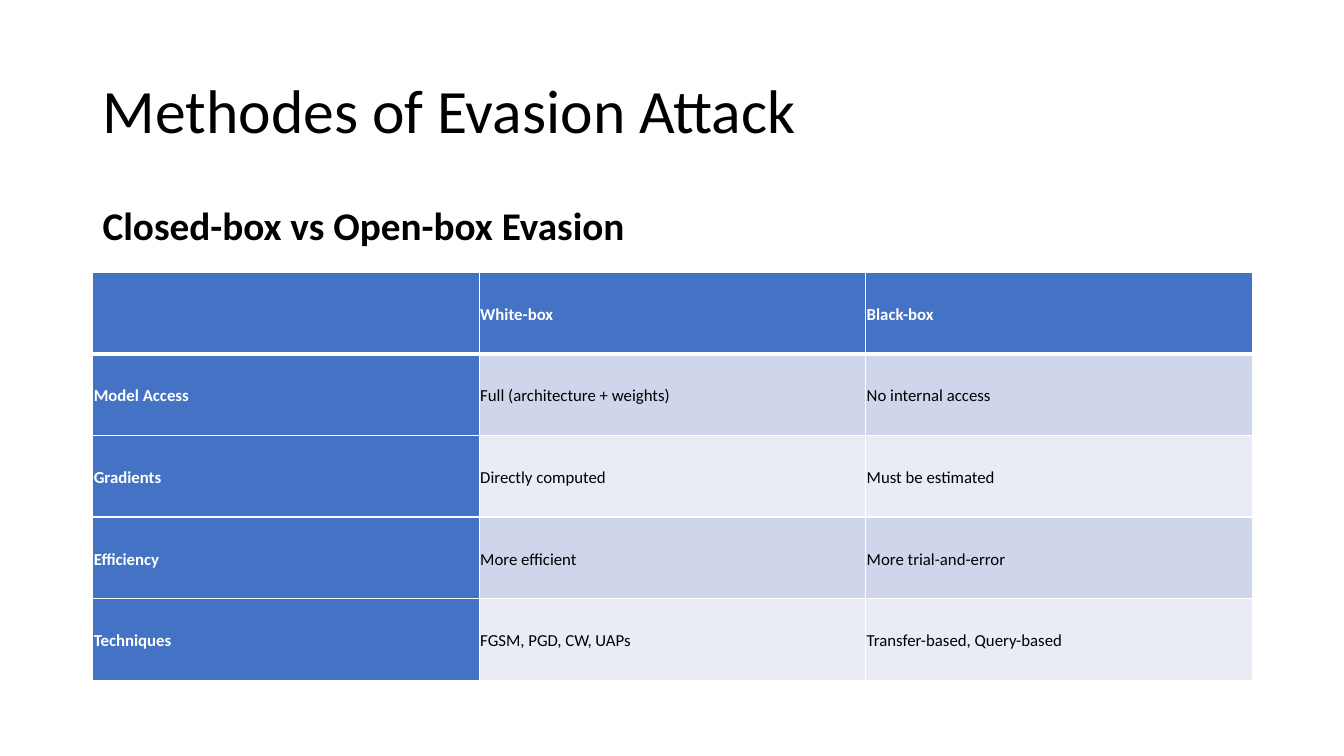
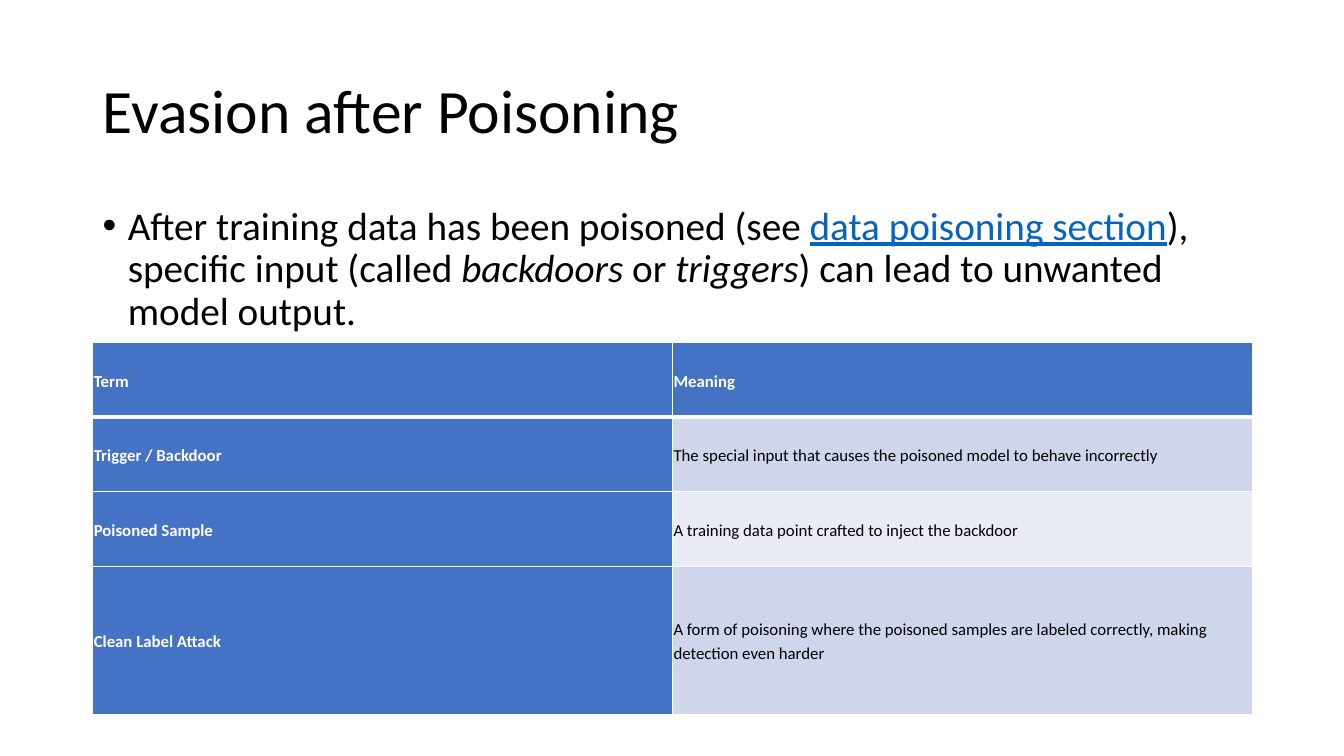
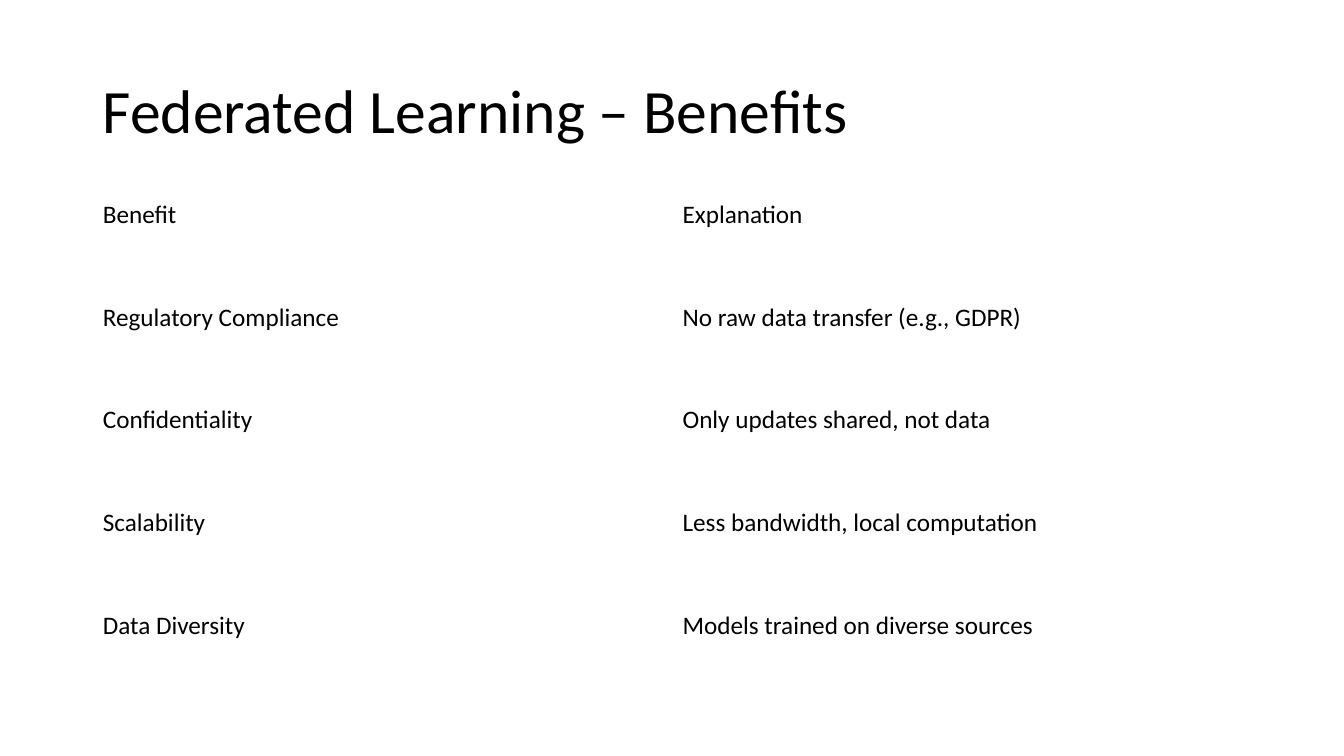
import pptx
import pptx.util
import pptx.dml.color
import pptx.enum.text
import pptx.oxml.ns
import lxml.etree

Inches = pptx.util.Inches
Pt = pptx.util.Pt

COLOURS = {
    "text": "000000",
    "white": "FFFFFF",
    "header": "4472C4",
    "band_dark": "CFD5EA",
    "band_light": "E9EBF5",
    "link": "0563C1",
}


class Deck:
    """Holds the shared style and the slide being built."""

    font_name = "Calibri"
    left = 0.92
    width = 11.5

    def __init__(self):
        self.presentation = pptx.Presentation()
        self.presentation.slide_width = Inches(13.33)
        self.presentation.slide_height = Inches(7.5)
        self.slide = None

    def add_slide(self, title):
        layout = self.presentation.slide_layouts[6]
        self.slide = self.presentation.slides.add_slide(layout)
        frame = self.add_text_box(0.4, 1.45)
        frame.vertical_anchor = pptx.enum.text.MSO_ANCHOR.MIDDLE
        paragraph = frame.paragraphs[0]
        paragraph.text = title
        paragraph.line_spacing = 0.9
        self.style_run(paragraph.runs[0], 44)

    def add_text_box(self, top, height):
        shape = self.slide.shapes.add_textbox(
            Inches(self.left), Inches(top), Inches(self.width), Inches(height))
        shape.text_frame.word_wrap = True
        return shape.text_frame

    def style_run(self, run, size, colour="text", bold=False, italic=False, underline=False):
        font = run.font
        font.name = self.font_name
        font.size = Pt(size)
        font.bold, font.italic, font.underline = bold, italic, underline
        font.color.rgb = pptx.dml.color.RGBColor.from_string(COLOURS[colour])

    def add_body(self, parts, bullet=False):
        """Write one paragraph from (text, run style) pairs."""
        paragraph = self.add_text_box(2, 4.76).paragraphs[0]
        paragraph.line_spacing = 0.9
        paragraph.space_before = Pt(10)
        for text, style in parts:
            run = paragraph.add_run()
            run.text = text
            self.style_run(run, 28, **style)
        if bullet:
            self.add_bullet(paragraph)

    def add_bullet(self, paragraph):
        qn = pptx.oxml.ns.qn
        properties = paragraph._p.get_or_add_pPr()
        properties.set("marL", str(Inches(0.25)))
        properties.set("indent", str(-Inches(0.25)))
        lxml.etree.SubElement(properties, qn("a:buFont")).set("typeface", "Arial")
        lxml.etree.SubElement(properties, qn("a:buChar")).set("char", "•")

    def add_table(self, top, row_heights, rows):
        """Create an unstyled grid with equal columns and return its cells by row."""
        columns = len(rows[0])
        table = self.slide.shapes.add_table(
            len(rows), columns, Inches(self.left), Inches(top),
            Inches(self.width), Inches(sum(row_heights))).table
        table.first_row = table.horz_banding = False
        for column in table.columns:
            column.width = Inches(self.width / columns)
        for row, height, texts in zip(table.rows, row_heights, rows):
            row.height = Inches(height)
            for cell, text in zip(row.cells, texts):
                cell.text_frame.text = text
                cell.vertical_anchor = pptx.enum.text.MSO_ANCHOR.MIDDLE
        return [list(row.cells) for row in table.rows]

    def add_plain_table(self, top, row_heights, rows):
        for cells in self.add_table(top, row_heights, rows):
            for cell in cells:
                cell.fill.background()
                for run in cell.text_frame.paragraphs[0].runs:
                    self.style_run(run, 18)

    def add_banded_table(self, top, row_heights, rows):
        """Fill the header row and first column; band the other cells."""
        for row_index, cells in enumerate(self.add_table(top, row_heights, rows)):
            band = "band_dark" if row_index % 2 else "band_light"
            for column_index, cell in enumerate(cells):
                heading = row_index == 0 or column_index == 0
                self.style_banded_cell(cell, heading, "header" if heading else band)
                self.set_borders(cell, top=3 if row_index == 1 else 1,
                                 bottom=3 if row_index == 0 else 1)

    def style_banded_cell(self, cell, heading, fill):
        cell.margin_left = cell.margin_right = Inches(0.01)
        cell.margin_top = cell.margin_bottom = Inches(0.01)
        cell.fill.solid()
        cell.fill.fore_color.rgb = pptx.dml.color.RGBColor.from_string(COLOURS[fill])
        paragraph = cell.text_frame.paragraphs[0]
        paragraph.line_spacing = 1.15
        paragraph.space_after = Pt(8)
        for run in paragraph.runs:
            self.style_run(run, 12, "white" if heading else "text", bold=heading)

    def set_borders(self, cell, top, bottom):
        qn = pptx.oxml.ns.qn
        properties = cell._tc.get_or_add_tcPr()
        sides = {"a:lnL": 1, "a:lnR": 1, "a:lnT": top, "a:lnB": bottom}
        for position, (tag, points) in enumerate(sides.items()):
            line = lxml.etree.Element(qn(tag), w=str(Pt(points)))
            fill = lxml.etree.SubElement(line, qn("a:solidFill"))
            lxml.etree.SubElement(fill, qn("a:srgbClr")).set("val", COLOURS["white"])
            properties.insert(position, line)


def main():
    deck = Deck()

    # Attack methods
    deck.add_slide("Methodes of Evasion Attack")
    deck.add_body([("Closed-box vs Open-box Evasion", {"bold": True})])
    deck.add_banded_table(2.7, [0.81] * 5, [
        ("", "White-box", "Black-box"),
        ("Model Access", "Full (architecture + weights)", "No internal access"),
        ("Gradients", "Directly computed", "Must be estimated"),
        ("Efficiency", "More efficient", "More trial-and-error"),
        ("Techniques", "FGSM, PGD, CW, UAPs", "Transfer-based, Query-based"),
    ])

    # Poisoning terms
    deck.add_slide("Evasion after Poisoning")
    deck.add_body([
        ("After training data has been poisoned (see ", {}),
        ("data poisoning section", {"colour": "link", "underline": True}),
        ("), specific input (called ", {}),
        ("backdoors", {"italic": True}),
        (" or ", {}),
        ("triggers", {"italic": True}),
        (") can lead to unwanted model output.", {}),
    ], bullet=True)
    deck.add_banded_table(3.4, [0.74, 0.74, 0.74, 1.47], [
        ("Term", "Meaning"),
        ("Trigger / Backdoor",
         "The special input that causes the poisoned model to behave incorrectly"),
        ("Poisoned Sample", "A training data point crafted to inject the backdoor"),
        ("Clean Label Attack",
         "A form of poisoning where the poisoned samples are labeled correctly, "
         "making detection even harder"),
    ])

    # Federated learning benefits
    deck.add_slide("Federated Learning – Benefits")
    deck.add_plain_table(1.62, [1.02] * 5, [
        ("Benefit", "Explanation"),
        ("Regulatory Compliance", "No raw data transfer (e.g., GDPR)"),
        ("Confidentiality", "Only updates shared, not data"),
        ("Scalability", "Less bandwidth, local computation"),
        ("Data Diversity", "Models trained on diverse sources"),
    ])

    deck.presentation.save("out.pptx")


if __name__ == "__main__":
    main()
